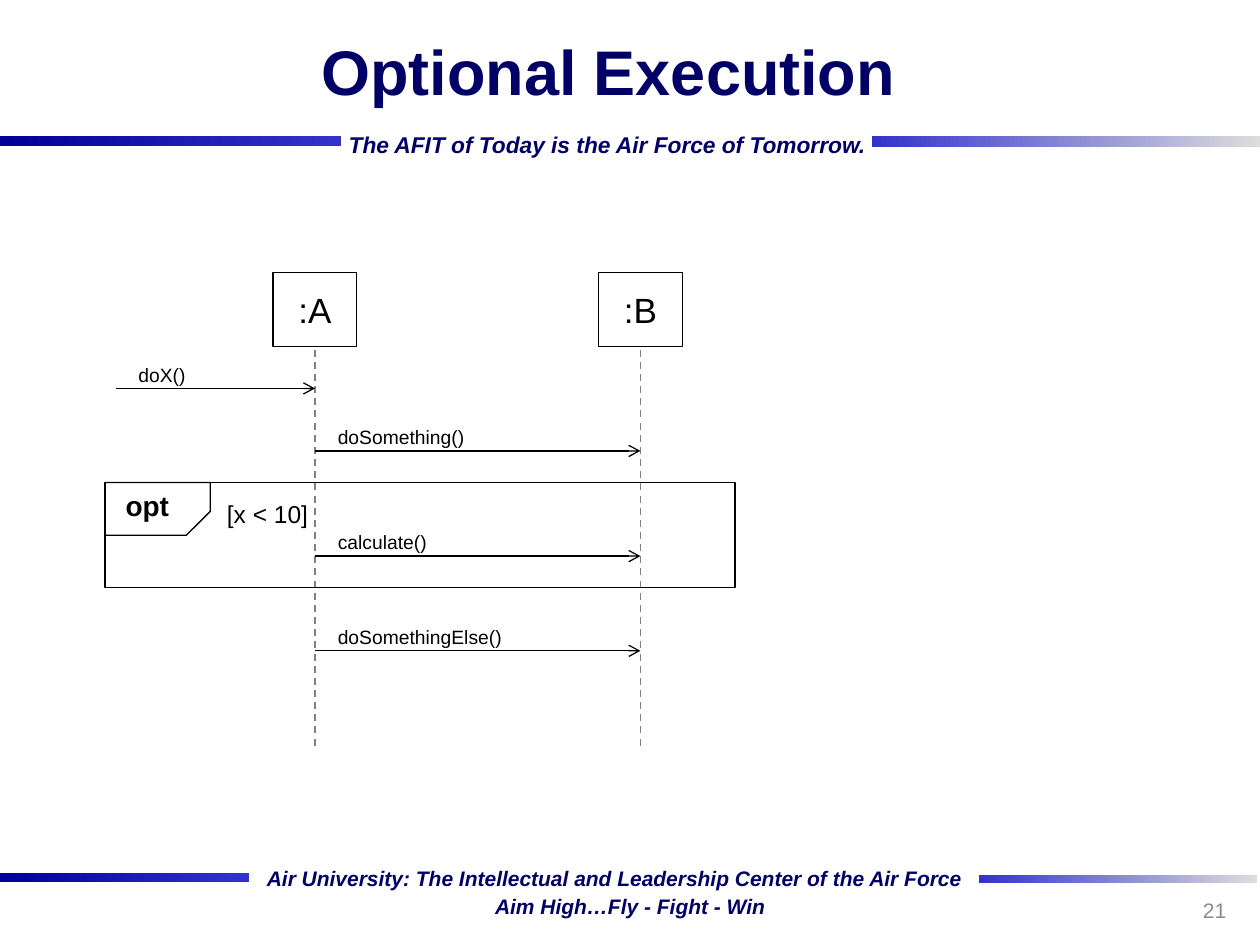
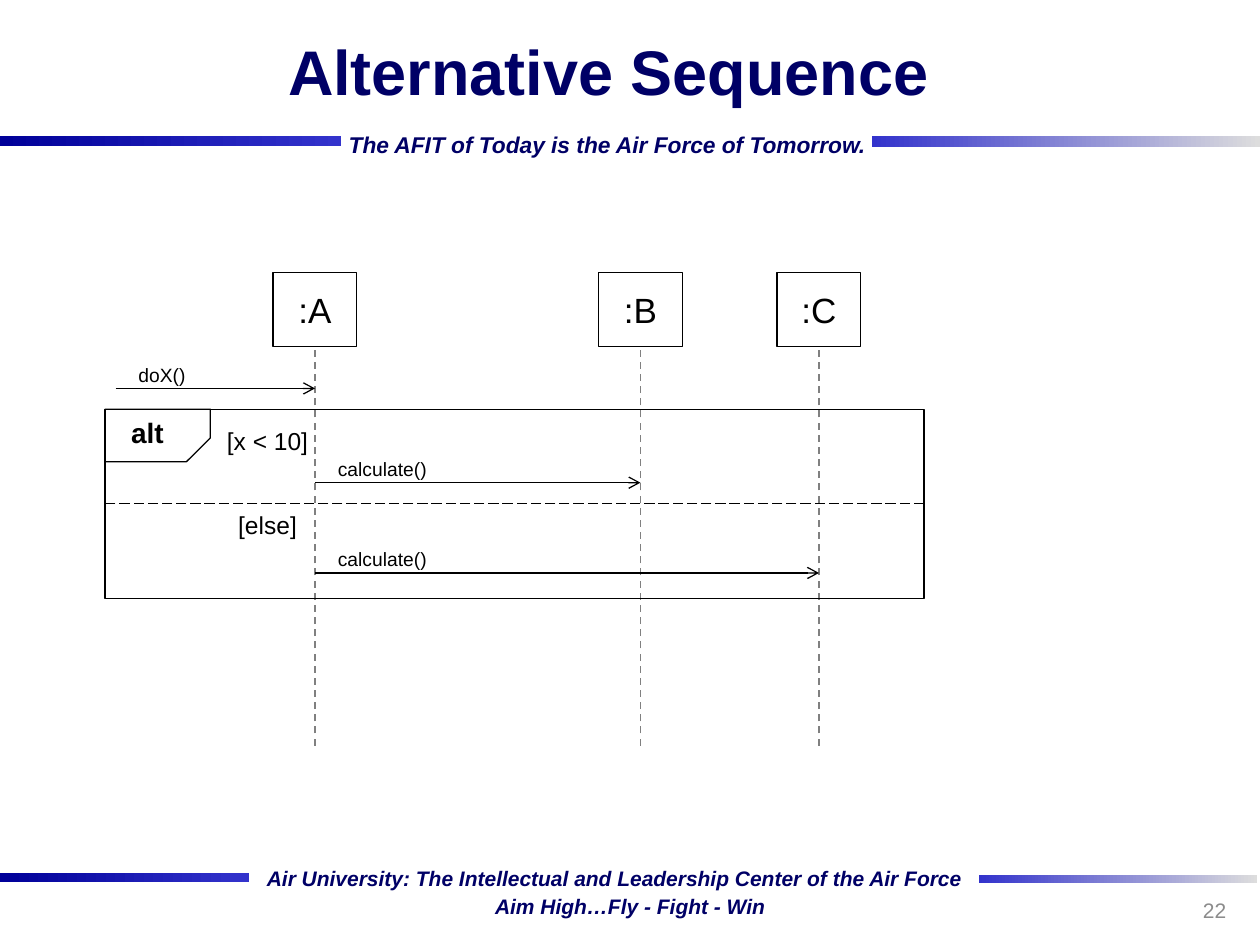
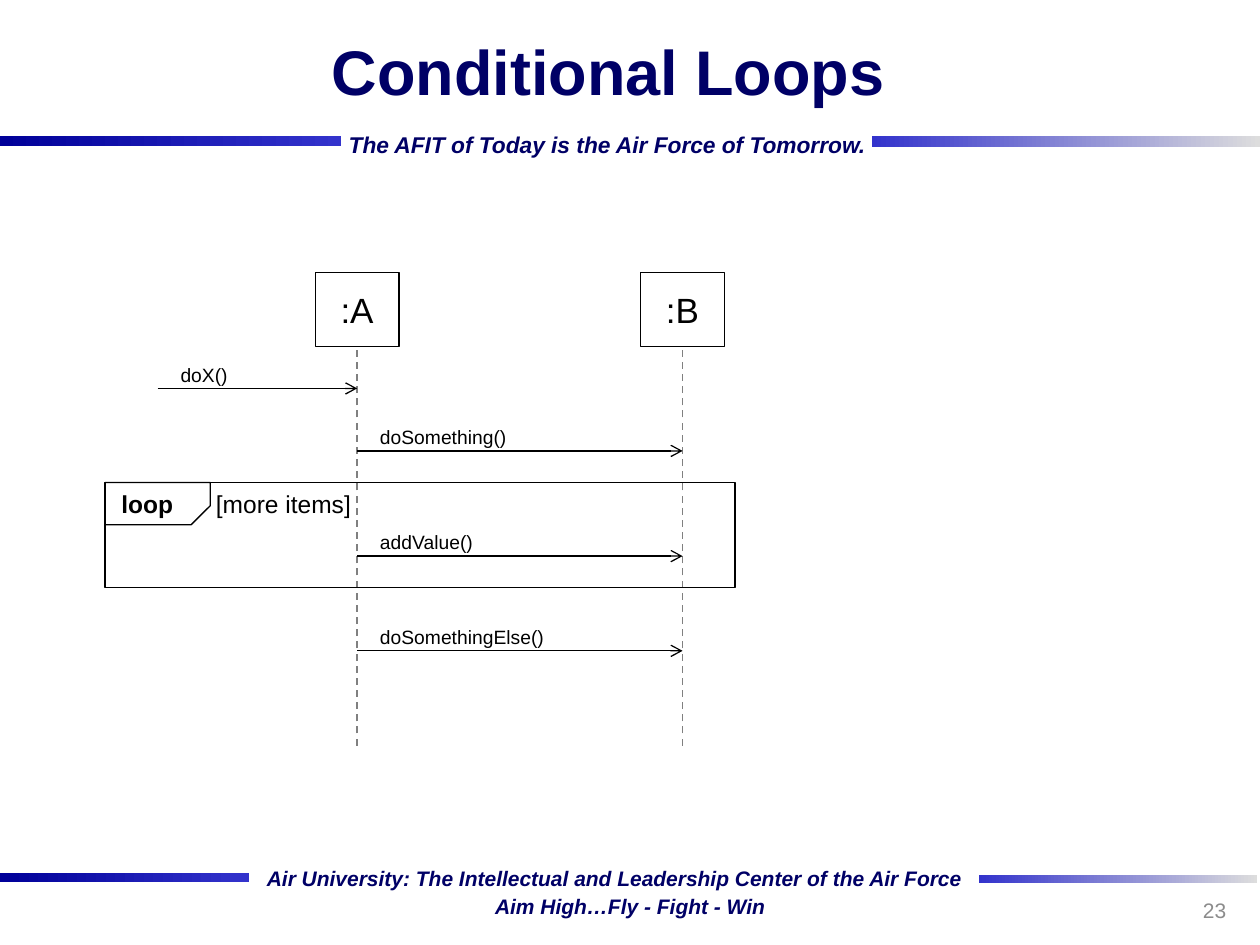
from lxml import etree
from pptx import Presentation
from pptx.dml.color import RGBColor
from pptx.enum import dml, shapes, text
from pptx.oxml import ns
from pptx.util import Cm, Pt

NAVY = RGBColor(0x00, 0x00, 0x66)
DEEP = RGBColor(0x00, 0x00, 0x99)
BLUE = RGBColor(0x33, 0x33, 0xCC)
PALE = RGBColor(0xDD, 0xDD, 0xDD)
GRAY = RGBColor(0x80, 0x80, 0x80)
DIM = RGBColor(0x8C, 0x8C, 0x8C)
BLACK = RGBColor(0x00, 0x00, 0x00)
WHITE = RGBColor(0xFF, 0xFF, 0xFF)

FONT = "Arial"
LEFT, CENTER, RIGHT = text.PP_ALIGN.LEFT, text.PP_ALIGN.CENTER, text.PP_ALIGN.RIGHT
SHAPE = shapes.MSO_SHAPE
WIDE, HIGH = 25.4, 19.05
HEAD_W, HEAD_H = 1.69, 1.48
LIFE = 9.53
TAG_W = 2.12


def write(shape, words, size, color=BLACK, align=LEFT, bold=False, italic=False):
    para = shape.text_frame.paragraphs[0]
    para.text = words
    para.alignment = align
    font = para.font
    font.name, font.size, font.color.rgb = FONT, Pt(size), color
    font.bold, font.italic = bold, italic


def add_text(slide, box, words, size, wrap=True, grow=True, **style):
    label = slide.shapes.add_textbox(*map(Cm, box))
    frame = label.text_frame
    frame.word_wrap = wrap
    if grow:
        frame.auto_size = text.MSO_AUTO_SIZE.SHAPE_TO_FIT_TEXT
    else:
        frame.vertical_anchor = text.MSO_ANCHOR.MIDDLE
    write(label, words, size, **style)


def add_box(slide, box, kind=SHAPE.RECTANGLE):
    shape = slide.shapes.add_shape(kind, *map(Cm, box))
    shape.shadow.inherit = False
    shape.fill.background()
    shape.line.color.rgb = BLACK
    shape.line.width = Pt(0.75)
    return shape


def add_line(slide, start, end, color=BLACK, width=0.75, dash=None, arrow=False):
    line = slide.shapes.add_connector(
        shapes.MSO_CONNECTOR.STRAIGHT, *map(Cm, (*start, *end)))
    line.line.color.rgb = color
    line.line.width = Pt(width)
    if dash:
        line.line.dash_style = dash
    if arrow:
        etree.SubElement(line.get_or_add_ln(), ns.qn("a:tailEnd"), type="arrow")
    etree.SubElement(line.element.spPr, ns.qn("a:effectLst"))
    return line


def add_band(slide, box, first, last):
    band = add_box(slide, box)
    band.line.fill.background()
    band.fill.gradient()
    band.fill.gradient_angle = 0
    for stop, color in zip(band.fill.gradient_stops, (first, last)):
        stop.color.rgb = color


def add_motto(slide, box, words, size):
    add_text(slide, box, words, size, wrap=False, color=NAVY, bold=True, italic=True)


def add_header(slide, box, title):
    x, y, w, h = box
    add_band(slide, (x, y + 2.74, 6.88, 0.2), DEEP, BLUE)
    add_band(slide, (x + w - 7.82, y + 2.74, 7.82, 0.23), BLUE, PALE)
    add_motto(slide, (x + 6.78, y + 2.51, 11.05, h - 2.51),
              "The AFIT of Today is the Air Force of Tomorrow.", 13)
    add_text(slide, (x + 1.47, y, 21.59, 2.84), title, 36, grow=False,
             color=NAVY, align=CENTER, bold=True)


def add_footer(slide, box, number):
    x, y, w, h = box
    add_band(slide, (x, y + 0.28, 5.03, 0.18), DEEP, BLUE)
    add_band(slide, (x + 19.74, y + 0.31, 5.61, 0.18), BLUE, PALE)
    add_motto(slide, (x + 5.13, y, 14.63, 0.74),
              "Air University: The Intellectual and Leadership Center of the Air Force", 12)
    add_motto(slide, (x + 9.73, y + 0.56, 5.99, 0.74), "Aim High…Fly - Fight - Win", 12)
    add_text(slide, (x + w - 6.35, y + 0.51, 5.92, 1.02), str(number), 12,
             grow=False, color=DIM, align=RIGHT)


def add_life(slide, mid, top, name):
    head = add_box(slide, (mid - HEAD_W / 2, top, HEAD_W, HEAD_H))
    head.fill.solid()
    head.fill.fore_color.rgb = WHITE
    head.text_frame.word_wrap = False
    head.text_frame.vertical_anchor = text.MSO_ANCHOR.MIDDLE
    write(head, name, 20, align=CENTER)
    line = add_line(slide, (mid, top + LIFE), (mid, top + HEAD_H), GRAY, 1,
                    dml.MSO_LINE.DASH)
    line.end_connect(head, 2)


def add_call(slide, start, end, y, words):
    add_line(slide, (start, y), (end, y), arrow=True)
    add_text(slide, (start + 0.21, y - 0.64, 4.66, 0.74), words, 11)


def add_frame(slide, box, tag, size, tall, guards, split):
    x, y, w, h = box
    corner = add_box(slide, (x, y, TAG_W, tall), SHAPE.SNIP_1_RECTANGLE)
    corner.adjustments[0] = 0.453
    corner.element.spPr.xfrm.set("flipV", "1")
    add_text(slide, (x - 0.21, y, TAG_W, 0.9), tag, size, align=CENTER, bold=True)
    frame = add_box(slide, box)
    for words, drop, width in guards:
        add_text(slide, (x + 1.9, y + drop, width, 0.86), words, 14, align=CENTER)
    if split:
        mid = y + h / 2
        line = add_line(slide, (x + w, mid), (x, mid), dash=dml.MSO_LINE.LONG_DASH)
        line.begin_connect(frame, 3)
        line.end_connect(frame, 1)


def add_scene(slide, origin, lives, calls, frame):
    x, y = origin
    mids = {name: x + mid for name, mid in lives.items()}
    for name, mid in mids.items():
        add_life(slide, mid, y, ":" + name)
    add_call(slide, mids["A"] - 4.02, mids["A"], y + 2.33, "doX()")
    for goal, drop, words in calls:
        add_call(slide, mids["A"], mids[goal], y + drop, words)
    drop, w, h, *rest = frame
    add_frame(slide, (x, y + drop, w, h), *rest)


def steps(inner):
    return [("B", 3.59, "doSomething()"), ("B", 5.71, inner),
            ("B", 7.62, "doSomethingElse()")]


SCENES = [
    ("Optional Execution", {"A": 4.23, "B": 10.79}, steps("calculate()"),
     (4.23, 12.7, 2.12, "opt", 16, 1.06, [("[x < 10]", 0.21, 2.75)], False)),
    ("Alternative Sequence", {"A": 4.23, "B": 10.79, "C": 14.39},
     [("B", 4.23, "calculate()"), ("C", 6.05, "calculate()")],
     (2.75, 16.51, 3.81, "alt", 16, 1.06,
      [("[x < 10]", 0.21, 2.75), ("[else]", 1.91, 2.75)], True)),
    ("Conditional Loops", {"A": 5.08, "B": 11.64}, steps("addValue()"),
     (4.23, 12.7, 2.12, "loop", 14, 0.85, [("[more items]", 0, 3.39)], False)),
]


def main():
    deck = Presentation()
    deck.slide_width, deck.slide_height = Cm(WIDE), Cm(HIGH)
    for number, (title, lives, calls, frame) in enumerate(SCENES, 21):
        slide = deck.slides.add_slide(deck.slide_layouts[6])
        add_header(slide, (0, 0, WIDE, 3.3), title)
        add_footer(slide, (0, 17.32, WIDE, 1.73), number)
        add_scene(slide, (2.12, 5.5), lives, calls, frame)
    deck.save("out.pptx")


if __name__ == "__main__":
    main()
